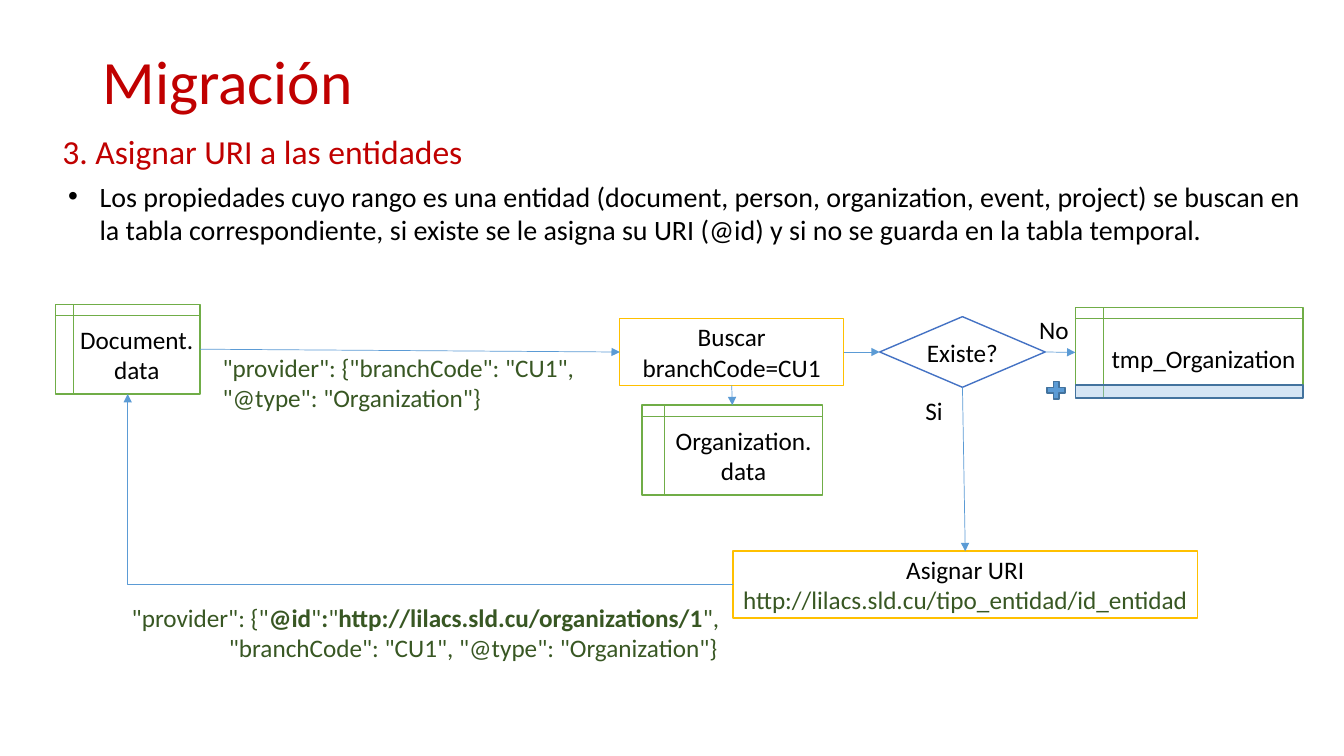
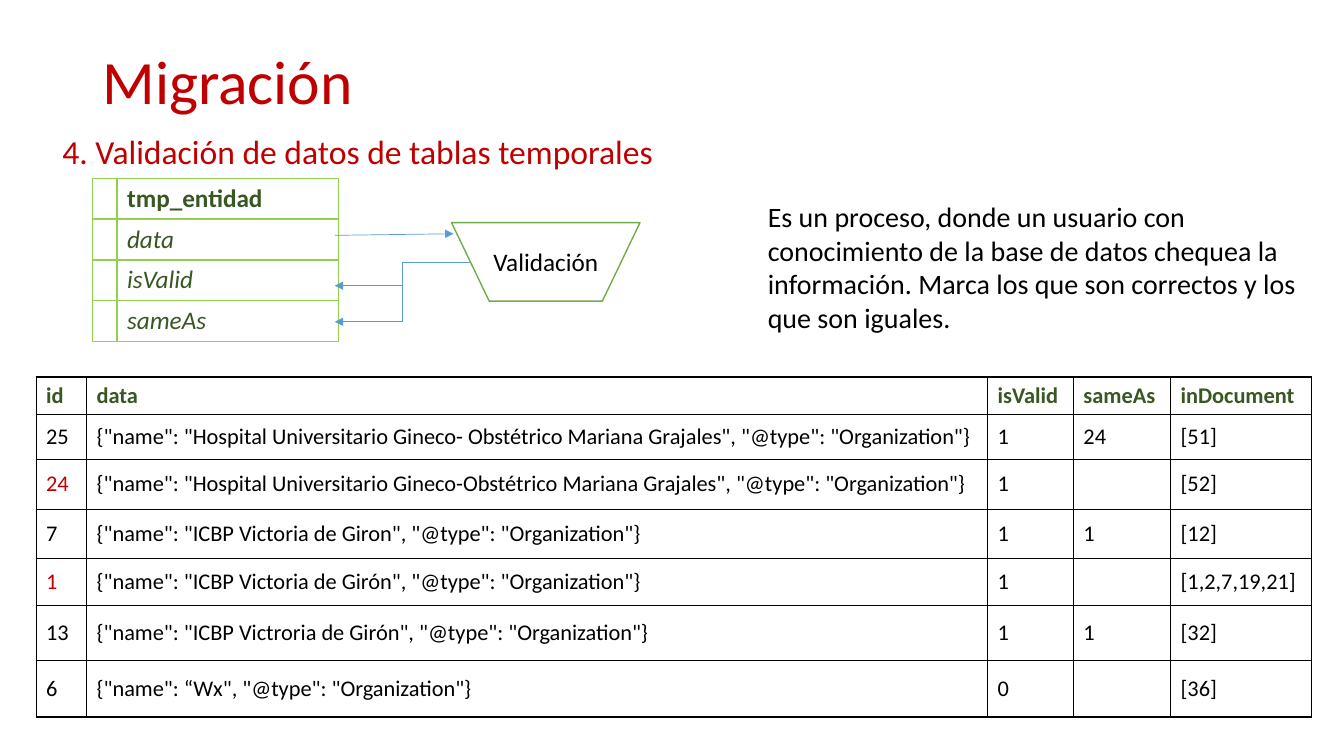
from dataclasses import dataclass
from typing import NamedTuple, Optional, Sequence, Union

from lxml import etree
from pptx import Presentation
from pptx.dml.color import RGBColor
from pptx.enum.shapes import MSO_CONNECTOR, MSO_SHAPE
from pptx.enum.text import MSO_ANCHOR, PP_ALIGN
from pptx.oxml.ns import qn
from pptx.util import Cm, Pt

LEFT, CENTER = PP_ALIGN.LEFT, PP_ALIGN.CENTER
TOP_ANCHOR, MIDDLE = MSO_ANCHOR.TOP, MSO_ANCHOR.MIDDLE
STRAIGHT, ELBOW = MSO_CONNECTOR.STRAIGHT, MSO_CONNECTOR.ELBOW
RECT, DIAMOND, PLUS = MSO_SHAPE.RECTANGLE, MSO_SHAPE.DIAMOND, MSO_SHAPE.MATH_PLUS
STORAGE = MSO_SHAPE.FLOWCHART_INTERNAL_STORAGE
MANUAL = MSO_SHAPE.FLOWCHART_MANUAL_OPERATION
TOP, LEFT_SIDE, BOTTOM, RIGHT_SIDE = range(4)
TITLE_ONLY = 5


@dataclass(frozen=True)
class Theme:
    font: str = "Calibri"
    red: str = "C00000"
    ink: str = "000000"
    code: str = "385723"
    white: str = "FFFFFF"
    green: str = "70AD47"
    lime: str = "92D050"
    yellow: str = "FFC000"
    indigo: str = "4472C4"
    blue: str = "5B9BD5"
    pale_blue: str = "9DC3E6"
    dark_blue: str = "43739E"
    title_size: int = 44
    heading_size: int = 24
    body_size: int = 20
    label_size: int = 18
    cell_size: int = 16


THEME = Theme()


class Box(NamedTuple):
    """Left, top, width and height in centimetres."""
    x: float
    y: float
    w: float
    h: float


class Run(NamedTuple):
    text: str
    bold: Optional[bool] = None
    color: Optional[str] = None


class Node(NamedTuple):
    key: str
    kind: MSO_SHAPE
    box: Box
    line: str
    lines: Sequence


class Link(NamedTuple):
    start: str
    start_side: int
    end: str
    end_side: int


Line = Union[str, Sequence[Run]]

TITLE_BOX = Box(2.33, 1.02, 29.21, 2.21)
TIGHT, ROOMY = 0.1, 0.25

NODES = [
    Node("document", STORAGE, Box(1.4, 7.67, 3.64, 2.26), THEME.green, ["Document.", "data"]),
    Node("exists", DIAMOND, Box(22.17, 7.98, 4.17, 1.78), THEME.indigo, ["Existe?"]),
    Node("assign", RECT, Box(18.47, 13.89, 11.71, 1.68), THEME.yellow,
         ["Asignar URI",
          [Run("http://lilacs.sld.cu/tipo_entidad/id_entidad", color=THEME.code)]]),
    Node("temporary", STORAGE, Box(27.1, 7.75, 5.74, 2.26), THEME.green, ["tmp_Organization"]),
    Node("search", RECT, Box(15.62, 8.03, 5.64, 1.68), THEME.yellow,
         ["Buscar", "branchCode=CU1"]),
    Node("organization", STORAGE, Box(16.18, 10.21, 4.55, 2.26), THEME.green,
         ["Organization.", "data"]),
]

LINKS = [
    Link("document", RIGHT_SIDE, "search", LEFT_SIDE),
    Link("search", BOTTOM, "organization", TOP),
    Link("search", RIGHT_SIDE, "exists", LEFT_SIDE),
    Link("exists", RIGHT_SIDE, "temporary", LEFT_SIDE),
    Link("exists", BOTTOM, "assign", TOP),
]

HEADER = ["id", "data", "isValid", "sameAs", "inDocument"]
RECORDS = [
    ["25", '{"name": "Hospital Universitario Gineco- Obstétrico Mariana Grajales", '
           '"@type": "Organization"}', "1", "24", "[51]"],
    ["24", '{"name": "Hospital Universitario Gineco-Obstétrico Mariana Grajales", '
           '"@type": "Organization"}', "1", "", "[52]"],
    ["7", '{"name": "ICBP Victoria de Giron", "@type": "Organization"}', "1", "1", "[12]"],
    ["1", '{"name": "ICBP Victoria de Girón", "@type": "Organization"}', "1", "",
     "[1,2,7,19,21]"],
    ["13", '{"name": "ICBP Victroria de Girón", "@type": "Organization"}', "1", "1", "[32]"],
    ["6", '{"name": “Wx", "@type": "Organization"}', "0", "", "[36]"],
]
FIELDS = ["tmp_entidad", "data", "isValid", "sameAs"]


def rgb(color: str) -> RGBColor:
    return RGBColor.from_string(color)


def cm(box: Sequence[float]) -> list:
    return [Cm(v) for v in box]


def write(tf, lines: Sequence[Line], *, size: int = THEME.label_size, color: str = THEME.ink,
          bold: bool = False, italic: bool = False, align: PP_ALIGN = LEFT) -> None:
    """Fill a text frame, one paragraph for each line."""
    for i, line in enumerate(lines):
        p = tf.paragraphs[0] if i == 0 else tf.add_paragraph()
        p.alignment = align
        for part in [Run(line)] if isinstance(line, str) else line:
            r = p.add_run()
            r.text = part.text
            r.font.name = THEME.font
            r.font.size = Pt(size)
            r.font.bold = bold if part.bold is None else part.bold
            r.font.italic = italic
            r.font.color.rgb = rgb(part.color or color)


def indent(p, left: float, bullet: str = "") -> None:
    """Indent a paragraph, hanging its bullet if it has one."""
    pPr = p._p.get_or_add_pPr()
    pPr.set("marL", str(Cm(left)))
    if bullet:
        pPr.set("indent", str(-Cm(left)))
        etree.SubElement(pPr, qn("a:buFont")).set("typeface", "Arial")
        etree.SubElement(pPr, qn("a:buChar")).set("char", bullet)


def set_frame(tf, inset: float, anchor: MSO_ANCHOR) -> None:
    tf.word_wrap = True
    tf.margin_left = tf.margin_right = Cm(inset)
    tf.margin_top = tf.margin_bottom = Cm(0.13)
    tf.vertical_anchor = anchor


def add_text(slide, box: Box, lines: Sequence[Line], *, inset: float = TIGHT, **style):
    tf = slide.shapes.add_textbox(*cm(box)).text_frame
    set_frame(tf, inset, TOP_ANCHOR)
    write(tf, lines, **style)
    return tf


def add_shape(slide, kind: MSO_SHAPE, box: Box, line: str, fill: str = THEME.white,
              lines: Sequence[Line] = ()):
    sp = slide.shapes.add_shape(kind, *cm(box))
    sp.shadow.inherit = False
    sp.fill.solid()
    sp.fill.fore_color.rgb = rgb(fill)
    sp.line.color.rgb = rgb(line)
    sp.line.width = Pt(1)
    set_frame(sp.text_frame, TIGHT, MIDDLE)
    write(sp.text_frame, lines, align=CENTER)
    return sp


def set_alpha(sp, percent: int) -> None:
    color = sp._element.spPr.find(qn("a:solidFill"))[0]
    etree.SubElement(color, qn("a:alpha")).set("val", str(percent * 1000))


def add_arrow(slide, points: Sequence[float] = (0, 0, 0, 0),
              kind: MSO_CONNECTOR = STRAIGHT):
    sp = slide.shapes.add_connector(kind, *cm(points))
    sp.line.color.rgb = rgb(THEME.blue)
    sp.line.width = Pt(0.5)
    spPr = sp._element.spPr
    etree.SubElement(spPr.find(qn("a:ln")), qn("a:tailEnd")).set("type", "triangle")
    etree.SubElement(spPr, qn("a:effectLst"))
    return sp


def join(slide, nodes: dict, link: Link, kind: MSO_CONNECTOR = STRAIGHT):
    sp = add_arrow(slide, kind=kind)
    sp.begin_connect(nodes[link.start], link.start_side)
    sp.end_connect(nodes[link.end], link.end_side)
    return sp


def set_borders(cell, color: str) -> None:
    tcPr = cell._tc.get_or_add_tcPr()
    for i, side in enumerate(("lnL", "lnR", "lnT", "lnB")):
        ln = etree.Element(qn(f"a:{side}"), w=str(Pt(1)))
        fill = etree.SubElement(ln, qn("a:solidFill"))
        etree.SubElement(fill, qn("a:srgbClr")).set("val", color)
        tcPr.insert(i, ln)


def add_table(slide, x: float, y: float, widths: Sequence[float], heights: Sequence[float],
              border: str):
    """Add an empty white table with every cell bordered."""
    box = Box(x, y, sum(widths), sum(heights))
    table = slide.shapes.add_table(len(heights), len(widths), *cm(box)).table
    table.first_row = table.horz_banding = False
    for column, width in zip(table.columns, widths):
        column.width = Cm(width)
    for row, height in zip(table.rows, heights):
        row.height = Cm(height)
    for cell in table.iter_cells():
        cell.fill.solid()
        cell.fill.fore_color.rgb = rgb(THEME.white)
        set_borders(cell, border)
    return table


def add_slide(prs, heading: str):
    slide = prs.slides.add_slide(prs.slide_layouts[TITLE_ONLY])
    title = slide.shapes.title
    title.left, title.top, title.width, title.height = cm(TITLE_BOX)
    set_frame(title.text_frame, ROOMY, MIDDLE)
    write(title.text_frame, ["Migración"], size=THEME.title_size, color=THEME.red)
    title.text_frame.paragraphs[0].line_spacing = 0.9
    add_text(slide, Box(1.47, 3.18, 17.6, 1.27), [heading], size=THEME.heading_size,
             color=THEME.red)
    return slide


def build_uri_slide(prs) -> None:
    slide = add_slide(prs, "3. Asignar URI a las entidades")
    tf = add_text(slide, Box(1.47, 4.39, 31.6, 1.96), [
        "Los propiedades cuyo rango es una entidad (document, person, organization, event, "
        "project) se buscan en la tabla correspondiente, si existe se le asigna su URI (@id) "
        "y si no se guarda en la tabla temporal."], inset=ROOMY, size=THEME.body_size)
    indent(tf.paragraphs[0], 0.79, "•")

    nodes = {n.key: add_shape(slide, n.kind, n.box, n.line, lines=n.lines) for n in NODES}
    add_text(slide, Box(23.22, 9.83, 1.42, 1.02), ["Si"])
    add_text(slide, Box(26.09, 7.8, 1.42, 1.02), ["No"])
    add_text(slide, Box(5.36, 8.74, 9.45, 1.8),
             ['"provider": {"branchCode": "CU1",', '"@type": "Organization"}'],
             inset=ROOMY, color=THEME.code)
    tf = add_text(slide, Box(3.07, 15.04, 15.72, 1.8), [
        [Run('"provider": {"'), Run("@id", True), Run('"'), Run(":", True), Run('"'),
         Run("http://lilacs.sld.cu/organizations/1", True), Run('",')],
        '"branchCode": "CU1", "@type": "Organization"}'], inset=ROOMY, color=THEME.code)
    indent(tf.paragraphs[1], 2.45)

    new_row = add_shape(slide, RECT, Box(27.1, 9.7, 5.74, 0.33), THEME.dark_blue,
                        THEME.pale_blue)
    set_alpha(new_row, 42)
    add_shape(slide, PLUS, Box(26.31, 9.53, 0.61, 0.61), THEME.dark_blue, THEME.blue)

    for link in LINKS:
        join(slide, nodes, link)
    back = join(slide, nodes, Link("assign", LEFT_SIDE, "document", BOTTOM), ELBOW)
    back._element.spPr.find(qn("a:prstGeom")).set("prst", "bentConnector2")


def build_validation_slide(prs) -> None:
    slide = add_slide(prs, "4. Validación de datos de tablas temporales")
    add_shape(slide, MANUAL, Box(11.38, 5.61, 4.75, 1.98), THEME.green, lines=["Validación"])
    add_text(slide, Box(19.1, 4.9, 14.77, 3.68), [
        "Es un proceso, donde un usuario con conocimiento de la base de datos chequea la "
        "información. Marca los que son correctos y los que son iguales."],
        inset=ROOMY, size=THEME.body_size)

    records = add_table(slide, 0.91, 9.5, [1.27, 22.71, 2.16, 2.45, 3.56],
                        [0.94, 1.13, 1.26, 1.25, 1.17, 1.4, 1.42], THEME.ink)
    matched_ids = {record[3] for record in RECORDS}
    for i, row in enumerate([HEADER] + RECORDS):
        for j, text in enumerate(row):
            color = THEME.ink
            if i == 0:
                color = THEME.code
            elif j == 0 and text in matched_ids:
                color = THEME.red
            cell = records.cell(i, j)
            cell.vertical_anchor = MIDDLE
            if text:
                write(cell.text_frame, [text], size=THEME.cell_size, color=color, bold=i == 0)

    entity = add_table(slide, 2.34, 4.49, [0.6, 5.58], [1.03] * len(FIELDS), THEME.lime)
    for i, field in enumerate(FIELDS):
        write(entity.cell(i, 1).text_frame, [field], color=THEME.code, bold=i == 0,
              italic=i > 0)

    add_arrow(slide, (8.44, 5.93, 11.43, 5.89))
    for field_y in (7.2, 8.11):
        add_arrow(slide, (11.85, 6.6, 8.44, field_y), ELBOW)


def main() -> None:
    prs = Presentation()
    prs.slide_width, prs.slide_height = Cm(33.87), Cm(19.05)
    build_uri_slide(prs)
    build_validation_slide(prs)
    prs.save("out.pptx")


if __name__ == "__main__":
    main()
